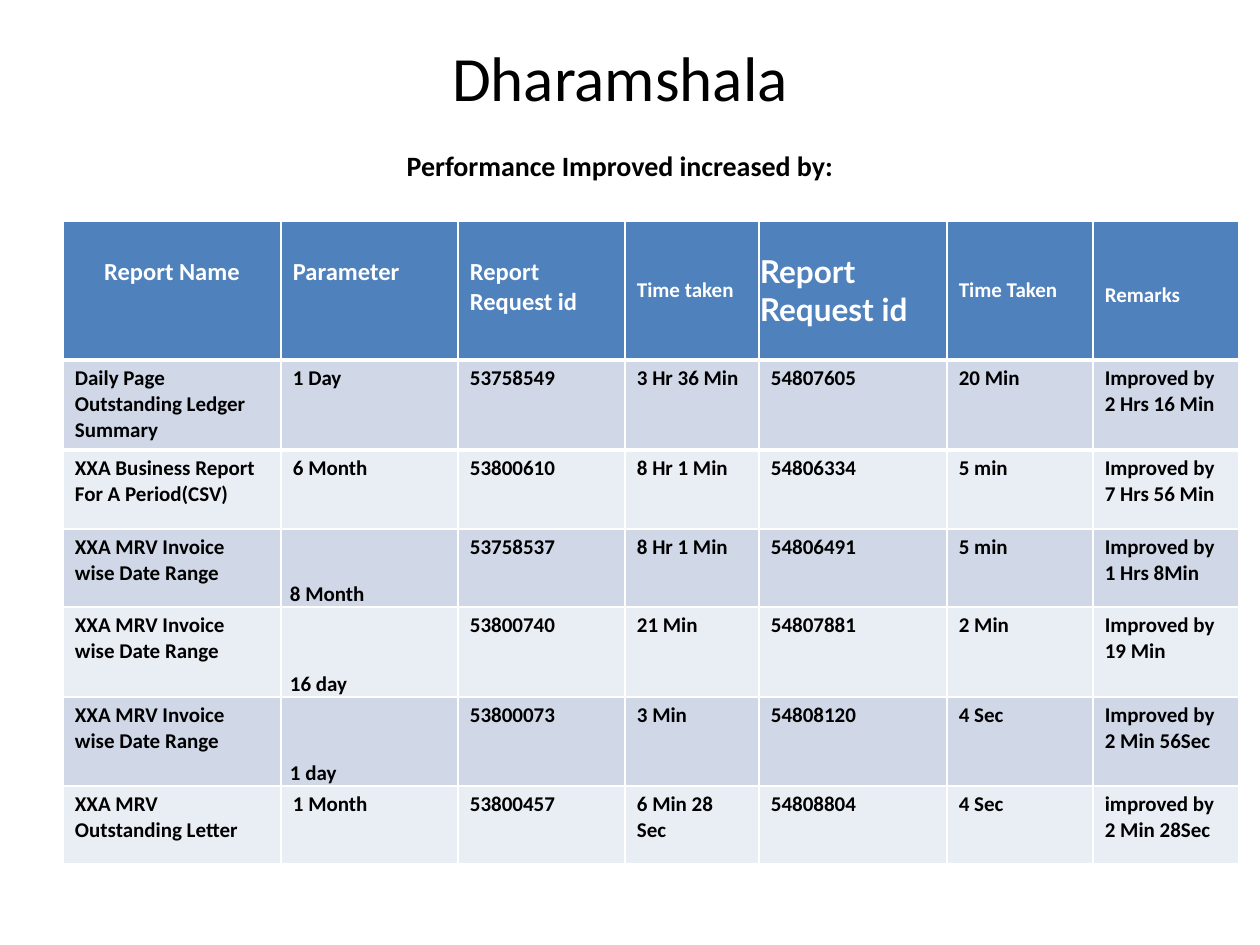
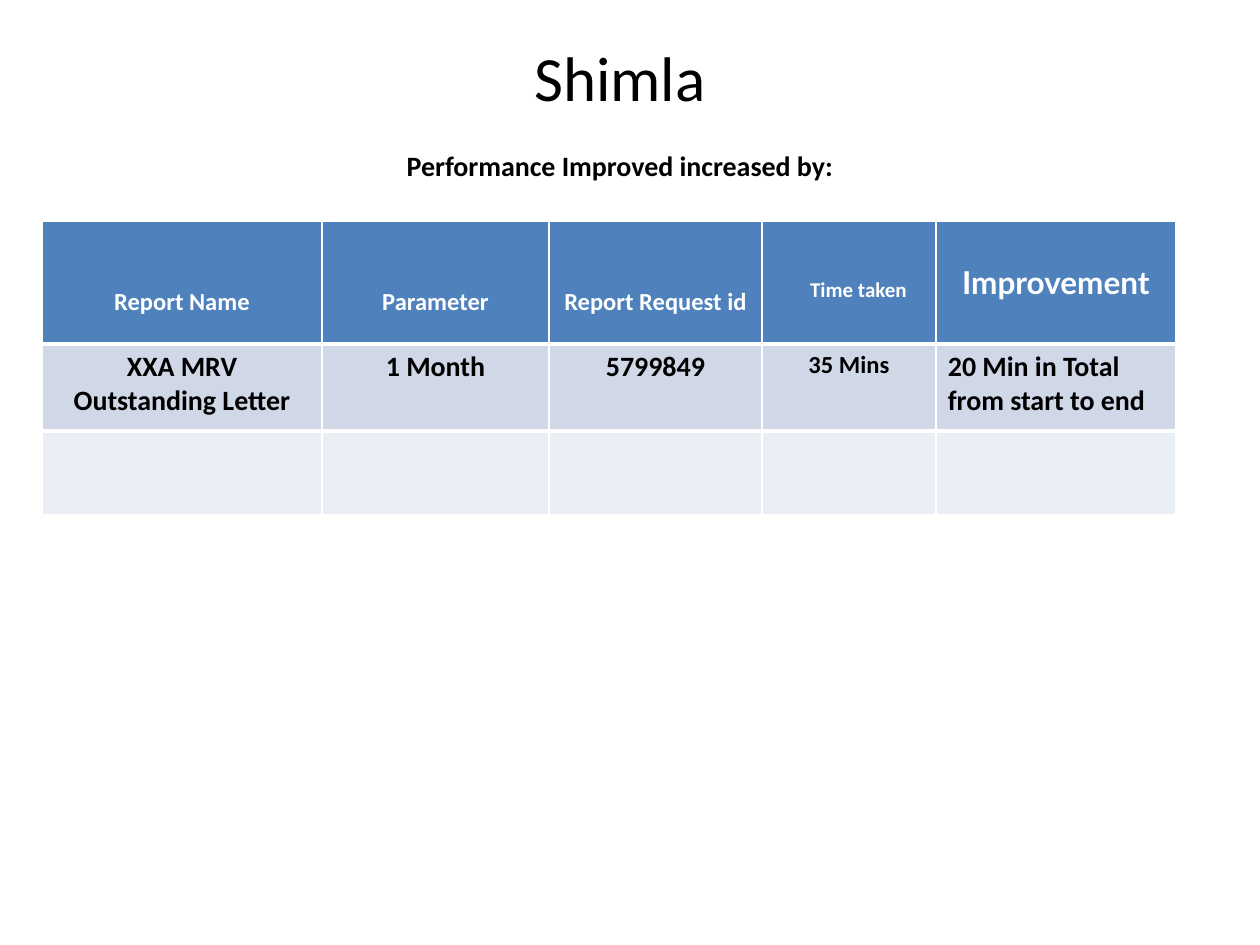
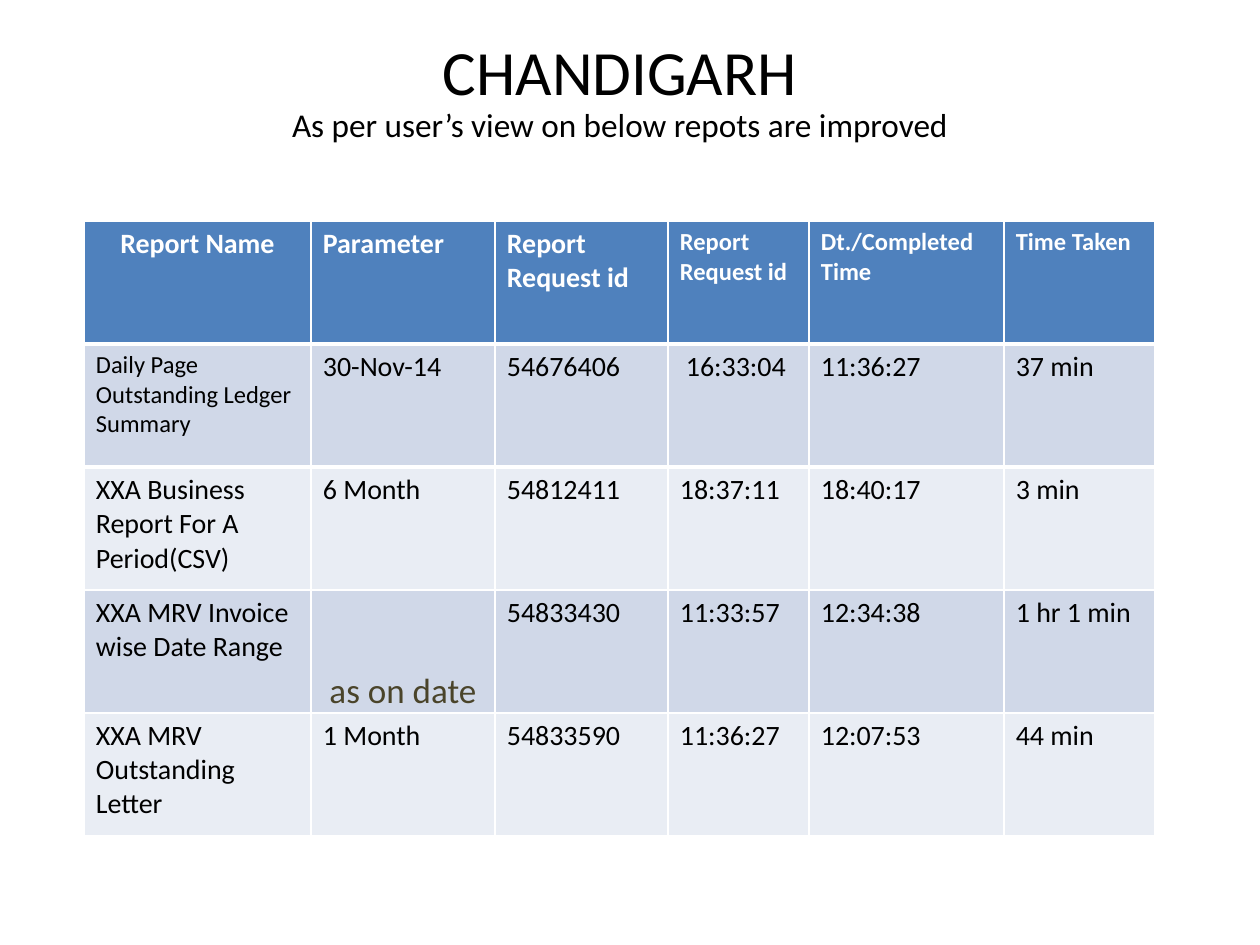
from dataclasses import dataclass
from lxml.etree import SubElement
from pptx import Presentation
from pptx.dml.color import RGBColor
from pptx.enum.text import MSO_ANCHOR, PP_ALIGN
from pptx.oxml.ns import qn
from pptx.util import Pt


@dataclass(frozen=True)
class Theme:
    """Colours, fonts and type sizes of the deck."""
    ink: str = "000000"
    olive: str = "4A442A"
    white: str = "FFFFFF"
    head: str = "4F81BD"
    bands: tuple = ("D0D8E8", "E9EDF4")
    font: str = "Calibri"
    accent: str = "Lato"
    title: int = 36
    sub: int = 16
    lead: int = 19
    big: int = 20
    large: int = 18
    mid: int = 16
    base: int = 14
    small: int = 12
    rule: int = 3


T = Theme()
MID, LOW = MSO_ANCHOR.MIDDLE, MSO_ANCHOR.BOTTOM
CENTER = PP_ALIGN.CENTER
SIDES = ("left", "top", "right", "bottom")
INSET = (12, 6, 12, 6)
TIGHT = dict(inset=(1, 1, 1, 1), anchor=MID, font=T.accent, size=T.large)
LOWER = dict(inset=(9, 0, 9, 0), anchor=LOW)


def px(n):
    """Turn pixels into EMU."""
    return round(n * 914400 / 126)


def pad(frame, inset):
    """Set the four margins of a cell or text frame, in pixels."""
    for side, gap in zip(SIDES, inset):
        setattr(frame, "margin_" + side, px(gap))


def drop(top, size=T.base, **more):
    """Give the format of a cell whose text starts lower."""
    return dict(inset=(12, top, 12, 6), size=size, **more)


def write(para, text, size, bold=False, color=T.ink, font=T.font, align=None):
    """Put one formatted run in a paragraph."""
    para.alignment = align
    run = para.add_run()
    run.text = text
    for name, value in dict(size=Pt(size), bold=bold, name=font).items():
        setattr(run.font, name, value)
    run.font.color.rgb = RGBColor.from_string(color)


def heading(slide, box, title, sub, style, gap=0, pitch=1, inset=INSET):
    """Fill the title placeholder with a title and a line below it."""
    shape = slide.shapes.title
    for name, value in zip(("left", "top", "width", "height"), box):
        setattr(shape, name, px(value))
    frame = shape.text_frame
    frame.word_wrap, frame.vertical_anchor = True, MID
    pad(frame, inset)
    write(frame.paragraphs[0], title, T.title, align=CENTER)
    para = frame.add_paragraph()
    para.space_before, para.line_spacing = Pt(gap), pitch
    write(para, sub, align=CENTER, **style)


def edge(cell, tag):
    """Draw the thick white rule on one edge of a cell, before its fill."""
    line = SubElement(cell._tc.get_or_add_tcPr(), qn(tag), w=str(Pt(T.rule)))
    SubElement(SubElement(line, qn("a:solidFill")), qn("a:srgbClr"),
               val=T.white)


def put(cell, text, fill, inset=INSET, anchor=MSO_ANCHOR.TOP, **style):
    """Fill one table cell."""
    cell.fill.solid()
    cell.fill.fore_color.rgb = RGBColor.from_string(fill)
    cell.vertical_anchor = anchor
    pad(cell, inset)
    if text:
        write(cell.text_frame.paragraphs[0], text, **style)


def grid(slide, left, top, cols, rows, data, head, body, special):
    """Draw a banded table; special maps (row, column) to cell formats."""
    table = slide.shapes.add_table(len(rows), len(cols), px(left), px(top),
                                   px(sum(cols)), px(sum(rows))).table
    for col, width in zip(table.columns, cols):
        col.width = px(width)
    for row, height in zip(table.rows, rows):
        row.height = px(height)
    for row, tag in enumerate(("a:lnB", "a:lnT")):
        for cell in table.rows[row].cells:
            edge(cell, tag)
    for r, line in enumerate(data):
        fill = T.bands[(r - 1) % 2] if r else T.head
        for c, text in enumerate(line):
            style = {**(body if r else head), **special.get((r, c), {})}
            put(table.cell(r, c), text, fill, **style)


def page(deck, box, title, sub, style, left, **table):
    """Add a slide with a heading and a table."""
    slide = deck.slides.add_slide(deck.slide_layouts[5])
    heading(slide, box, title, sub, **style)
    grid(slide, left, 221, **table)


HEAD = dict(size=T.base, bold=True, color=T.white)
GAIN = "Performance Improved increased by:"
PLAIN = dict(style=dict(size=T.sub, bold=True), gap=19.5)
LEDGER = "Daily Page Outstanding Ledger Summary"
PERIOD = "XXA Business Report For A Period(CSV)"
RANGE = "XXA MRV Invoice wise Date Range"
LETTER = "XXA MRV Outstanding Letter"
NAME, PARAM, REQ = "Report Name", "Parameter", "Report Request id"

deck = Presentation()
deck.slide_width, deck.slide_height = px(1260), px(945)

page(
    deck, (53, 32, 1134, 157), "Dharamshala", GAIN, PLAIN, 63,
    cols=(218, 177, 167, 134, 188, 146, 146),
    rows=(139, 90, 79, 78, 90, 89, 78),
    data=[
        (NAME, PARAM, REQ, "Time taken", REQ, "Time Taken", "Remarks"),
        (LEDGER, "1 Day", "53758549", "3 Hr 36 Min", "54807605", "20 Min",
         "Improved by 2 Hrs 16 Min"),
        (PERIOD, "6 Month", "53800610", "8 Hr 1 Min", "54806334", "5 min",
         "Improved by 7 Hrs 56 Min"),
        (RANGE, "8 Month", "53758537", "8 Hr 1 Min", "54806491", "5 min",
         "Improved by 1 Hrs 8Min"),
        (RANGE, "16 day", "53800740", "21 Min", "54807881", "2 Min",
         "Improved by 19 Min"),
        (RANGE, "1 day", "53800073", "3 Min", "54808120", "4 Sec",
         "Improved by 2 Min 56Sec"),
        (LETTER, "1 Month", "53800457", "6 Min 28 Sec", "54808804", "4 Sec",
         "improved by 2 Min 28Sec"),
    ],
    head={**HEAD, **drop(36)},
    body=dict(size=T.small, bold=True),
    special={(0, 0): dict(align=CENTER), (0, 3): drop(57, T.small),
             (0, 4): TIGHT, (0, 5): drop(57, T.small),
             (0, 6): drop(62, T.small),
             **{(r, 1): LOWER for r in (3, 4, 5)}})

page(
    deck, (53, 32, 1134, 157), "Shimla", GAIN, PLAIN, 42,
    cols=(280, 227, 213, 174, 240), rows=(123, 87, 84),
    data=[
        (NAME, PARAM, REQ, "Time taken", "Improvement"),
        (LETTER, "1 Month", "5799849", "35 Mins",
         "20 Min in Total from start to end"),
        ("",) * 5,
    ],
    head={**HEAD, **drop(66, align=CENTER)},
    body=dict(size=T.mid, bold=True, align=CENTER),
    special={(0, 3): dict(inset=(31, 57, 12, 6), size=T.small),
             (0, 4): TIGHT, (1, 3): dict(size=T.base),
             (1, 4): dict(align=None)})

page(
    deck, (53, 63, 1134, 157), "CHANDIGARH",
    "As per user\u2019s view on below repots are improved",
    dict(style=dict(size=T.lead), pitch=0.9, inset=(12, 0, 12, 106)), 84,
    cols=(227, 184, 173, 141, 195, 151), rows=(123,) * 5,
    data=[
        (NAME, PARAM, REQ, REQ, "Dt./Completed Time", "Time Taken"),
        (LEDGER, "30-Nov-14", "54676406", "16:33:04", "11:36:27", "37 min"),
        (PERIOD, "6 Month", "54812411", "18:37:11", "18:40:17", "3 min"),
        (RANGE, "as on date", "54833430", "11:33:57", "12:34:38",
         "1 hr 1 min"),
        (LETTER, "1 Month", "54833590", "11:36:27", "12:07:53", "44 min"),
    ],
    head={**HEAD, "size": T.mid},
    body=dict(size=T.mid),
    special={(0, 0): dict(align=CENTER),
             **{(0, c): dict(size=T.base) for c in (3, 4, 5)},
             (1, 0): dict(size=T.base), (1, 3): dict(inset=(18, 6, 12, 6)),
             (3, 1): dict(LOWER, size=T.big, color=T.olive, align=CENTER)})

deck.save("out.pptx")
